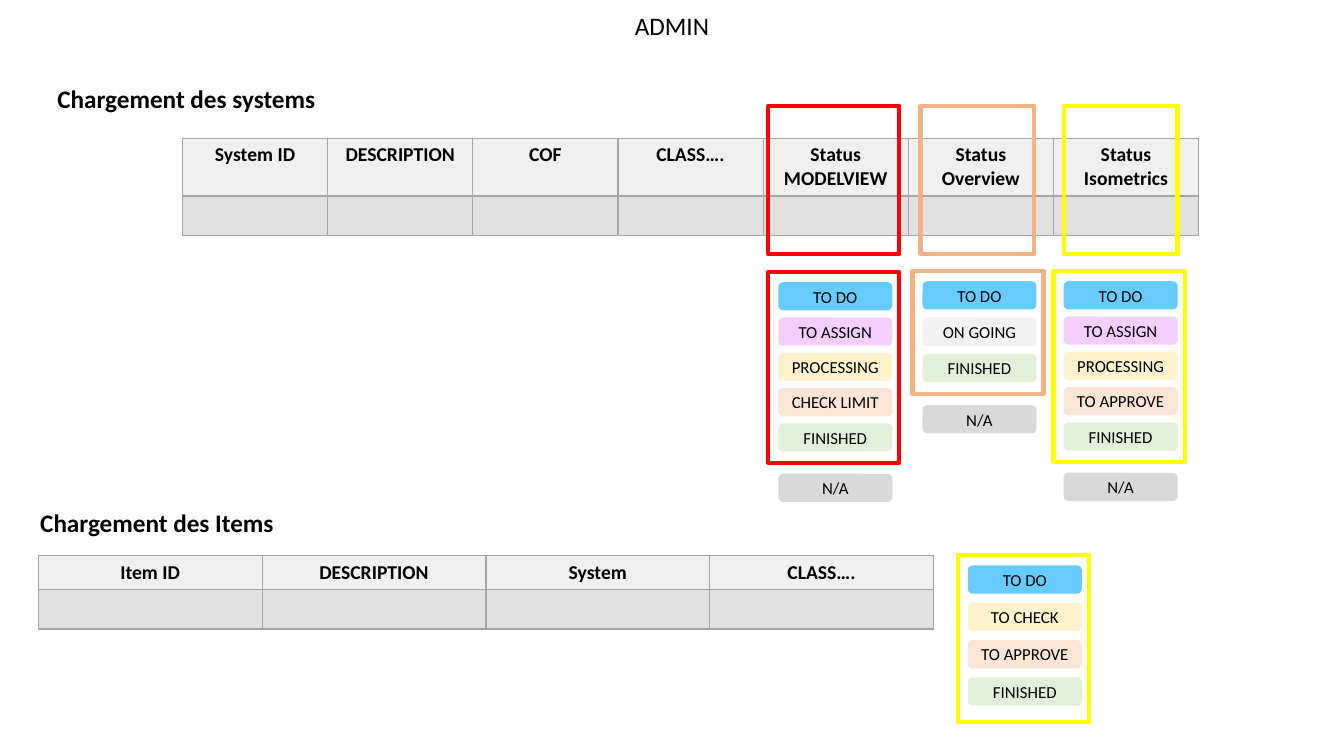
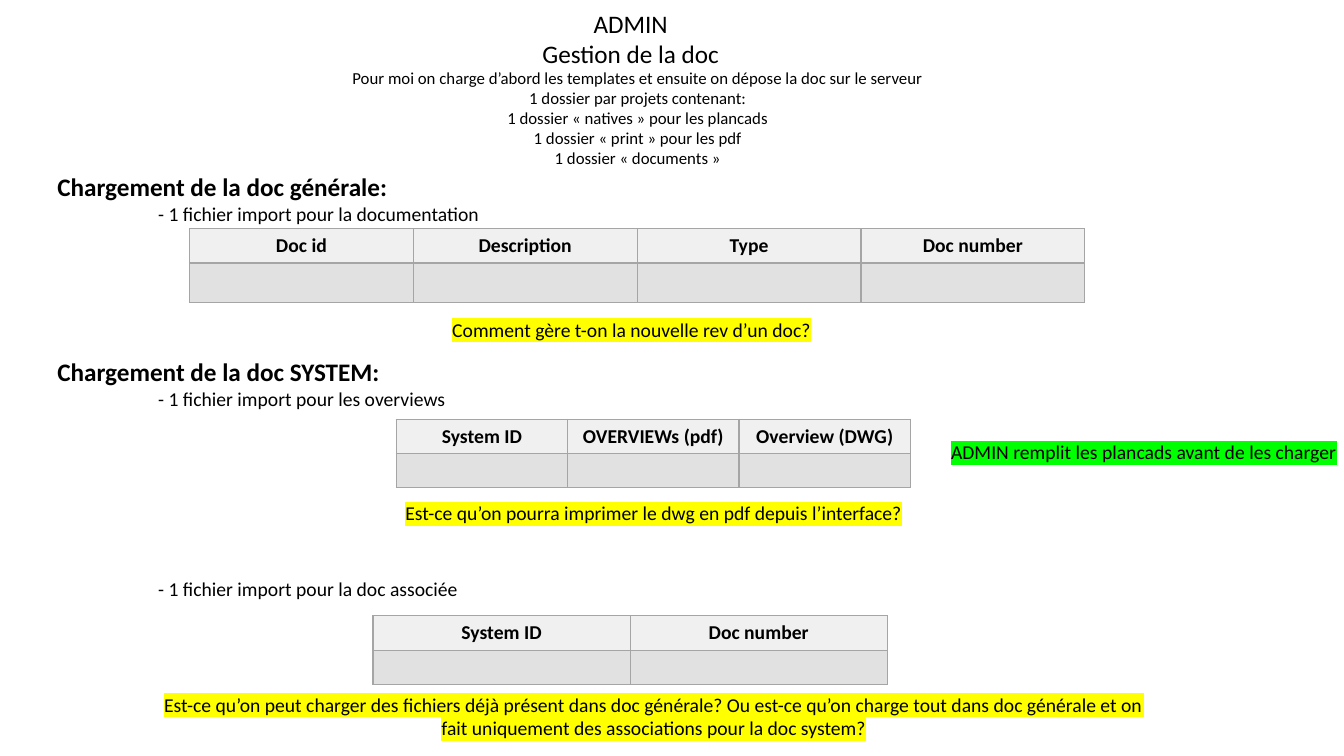
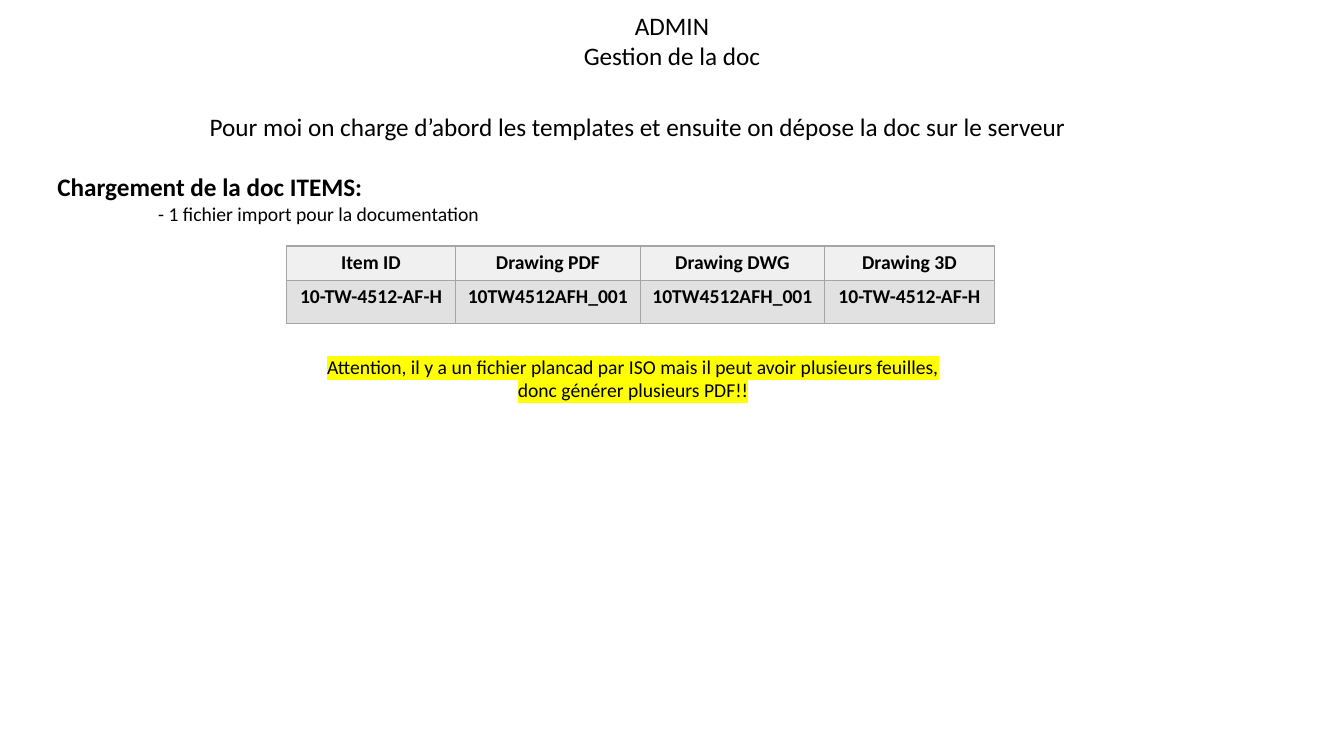
from dataclasses import dataclass
from typing import Optional, Sequence

from pptx import Presentation
from pptx.dml.color import RGBColor
from pptx.enum import shapes, text
from pptx.oxml.xmlchemy import OxmlElement
from pptx.util import Inches, Pt


# Theme shared by all slides
@dataclass(frozen=True)
class Theme:
    font: str = "Calibri"
    heading: int = 18
    body: int = 14
    small: int = 12
    frame_line: int = 3
    ink: str = "000000"
    header_fill: str = "F0F0F0"
    row_fill: str = "E1E1E1"
    border: str = "A5A5A5"
    yellow: str = "FFFF00"
    green: str = "00FF00"
    red: str = "FF0000"
    orange: str = "F4B183"


THEME = Theme()

STATUS_FILLS = {
    "TO DO": "66CCFF",
    "TO ASSIGN": "F4CEFF",
    "PROCESSING": "FFF2CC",
    "TO CHECK": "FFF2CC",
    "CHECK LIMIT": "FBE5D6",
    "TO APPROVE": "FBE5D6",
    "ON GOING": "F2F2F2",
    "FINISHED": "E2F0D9",
    "N/A": "D9D9D9",
}
CHIP_WIDTH, CHIP_HEIGHT = 1.13, 0.28
FRAME_WIDTH, FRAME_PADDING = 1.3, 0.1
NOT_APPLICABLE_GAP = 0.11


@dataclass(frozen=True)
class Box:
    left: float
    top: float
    width: float
    height: float

    def lengths(self) -> list:
        return [Inches(n) for n in (self.left, self.top, self.width, self.height)]


@dataclass(frozen=True)
class StatusList:
    frame: Box
    colour: str
    statuses: Sequence[str]
    pitch: float = 0.35
    column_frame: Optional[Box] = None


@dataclass(frozen=True)
class Grid:
    left: float
    top: float
    columns: Sequence[float]
    rows: Sequence[float]
    header: Sequence[str]
    values: Sequence[str] = ()


# Text
def write(para, words: str, *, size: int = THEME.body, bold: bool = False,
          align=text.PP_ALIGN.CENTER, highlight: Optional[str] = None,
          indent: float = 0) -> None:
    para.alignment = align
    if indent:
        properties = para._p.get_or_add_pPr()
        properties.set("marL", str(Inches(indent)))
        properties.set("indent", "0")
    span = para.add_run()
    span.text = words
    span.font.size = Pt(size)
    span.font.bold = bold
    span.font.color.rgb = RGBColor.from_string(THEME.ink)
    if highlight:
        mark = OxmlElement("a:highlight")
        colour = OxmlElement("a:srgbClr")
        colour.set("val", highlight)
        mark.append(colour)
        span.font._element.append(mark)
    span.font.name = THEME.font


def add_lines(frame, lines: Sequence[str], **style) -> None:
    frame.word_wrap = True
    frame.auto_size = text.MSO_AUTO_SIZE.NONE
    for number, line in enumerate(lines):
        para = frame.add_paragraph() if number else frame.paragraphs[0]
        write(para, line, **style)


def add_title(page, box: Box, *lines: str) -> None:
    title = page.shapes.title
    title.left, title.top, title.width, title.height = box.lengths()
    title.text_frame.vertical_anchor = text.MSO_ANCHOR.TOP
    add_lines(title.text_frame, lines, size=THEME.heading)


def add_text(page, box: Box, *lines: str, **style) -> None:
    add_lines(page.shapes.add_textbox(*box.lengths()).text_frame, lines, **style)


def add_section(page, left: float, top: float, heading: str, detail: str = "") -> None:
    frame = page.shapes.add_textbox(*Box(left, top, 10.21, 0.88).lengths()).text_frame
    add_lines(frame, [heading], size=THEME.heading, bold=True, align=text.PP_ALIGN.LEFT)
    if detail:
        write(frame.add_paragraph(), detail, align=text.PP_ALIGN.LEFT, indent=1)


# Tables
def format_cell(cell, words: str, fill: str) -> None:
    properties = cell._tc.get_or_add_tcPr()
    for side in ("a:lnL", "a:lnR", "a:lnT", "a:lnB"):
        line = OxmlElement(side)
        line.set("w", str(Pt(1)))
        solid = OxmlElement("a:solidFill")
        colour = OxmlElement("a:srgbClr")
        colour.set("val", THEME.border)
        solid.append(colour)
        line.append(solid)
        properties.append(line)
    cell.fill.solid()
    cell.fill.fore_color.rgb = RGBColor.from_string(fill)
    para = cell.text_frame.paragraphs[0]
    if words:
        write(para, words, bold=True)
    else:
        end = OxmlElement("a:endParaRPr")
        end.set("sz", str(THEME.body * 100))
        para._p.append(end)


def add_grid(page, grid: Grid) -> None:
    box = Box(grid.left, grid.top, sum(grid.columns), sum(grid.rows))
    table = page.shapes.add_table(
        len(grid.rows), len(grid.columns), *box.lengths()).table
    table.first_row = table.horz_banding = False
    for column, width in zip(table.columns, grid.columns):
        column.width = Inches(width)
    for row, height in zip(table.rows, grid.rows):
        row.height = Inches(height)
    values = grid.values or [""] * len(grid.columns)
    for number, (head, value) in enumerate(zip(grid.header, values)):
        format_cell(table.cell(0, number), head, THEME.header_fill)
        format_cell(table.cell(1, number), value, THEME.row_fill)


# Status chips and frames
def add_frame(page, box: Box, colour: str) -> None:
    frame = page.shapes.add_shape(shapes.MSO_SHAPE.RECTANGLE, *box.lengths())
    frame.shadow.inherit = False
    frame.fill.background()
    frame.line.color.rgb = RGBColor.from_string(colour)
    frame.line.width = Pt(THEME.frame_line)


def add_chip(page, left: float, top: float, status: str) -> None:
    box = Box(left, top, CHIP_WIDTH, CHIP_HEIGHT)
    chip = page.shapes.add_shape(shapes.MSO_SHAPE.ROUNDED_RECTANGLE, *box.lengths())
    chip.shadow.inherit = False
    chip.fill.solid()
    chip.fill.fore_color.rgb = RGBColor.from_string(STATUS_FILLS[status])
    chip.line.fill.background()
    chip.text_frame.vertical_anchor = text.MSO_ANCHOR.MIDDLE
    add_lines(chip.text_frame, [status], size=THEME.small)


def add_status_list(page, group: StatusList) -> None:
    frame = group.frame
    left = frame.left + FRAME_PADDING
    add_frame(page, frame, group.colour)
    for number, status in enumerate(group.statuses):
        add_chip(page, left, frame.top + FRAME_PADDING + number * group.pitch, status)
    if group.column_frame:
        add_frame(page, group.column_frame, group.colour)
        add_chip(page, left, frame.top + frame.height + NOT_APPLICABLE_GAP, "N/A")


# Slides
def build_loading(page) -> None:
    add_title(page, Box(4.74, 0.05, 3.85, 0.4), "ADMIN")
    add_section(page, 0.47, 0.78, "Chargement des systems")
    add_grid(page, Grid(1.81, 1.37, [1.44] * 7, [0.57, 0.39], [
        "System ID", "DESCRIPTION", "COF", "CLASS….",
        "Status MODELVIEW", "Status Overview", "Status Isometrics"]))
    add_section(page, 0.3, 4.98, "Chargement des Items")
    add_grid(page, Grid(0.38, 5.51, [2.22] * 4, [0.34, 0.39],
                        ["Item ID", "DESCRIPTION", "System", "CLASS…."]))
    status_lists = [
        StatusList(Box(7.62, 2.7, FRAME_WIDTH, 1.89), THEME.red,
                   ["TO DO", "TO ASSIGN", "PROCESSING", "CHECK LIMIT", "FINISHED"],
                   column_frame=Box(7.62, 1.05, FRAME_WIDTH, 1.47)),
        StatusList(Box(9.05, 2.69, FRAME_WIDTH, 1.22), THEME.orange,
                   ["TO DO", "ON GOING", "FINISHED"], pitch=0.36,
                   column_frame=Box(9.13, 1.05, CHIP_WIDTH, 1.47)),
        StatusList(Box(10.45, 2.69, FRAME_WIDTH, 1.89), THEME.yellow,
                   ["TO DO", "TO ASSIGN", "PROCESSING", "TO APPROVE", "FINISHED"],
                   column_frame=Box(10.55, 1.05, CHIP_WIDTH, 1.47)),
        StatusList(Box(9.5, 5.51, FRAME_WIDTH, 1.65), THEME.yellow,
                   ["TO DO", "TO CHECK", "TO APPROVE", "FINISHED"], pitch=0.37),
    ]
    for group in status_lists:
        add_status_list(page, group)


def build_documents(page) -> None:
    add_title(page, Box(4.33, 0.03, 3.85, 0.71), "ADMIN", "Gestion de la doc")
    add_text(page, Box(1.22, 0.62, 10.21, 1.31),
             "Pour moi on charge d’abord les templates et ensuite on dépose "
             "la doc sur le serveur",
             "1 dossier par projets contenant:",
             "1 dossier « natives » pour les plancads",
             "1 dossier « print » pour les pdf",
             "1 dossier « documents »", size=THEME.small)

    # General documents
    add_section(page, 0.47, 1.65, "Chargement de la doc générale:",
                "- 1 fichier import pour la documentation")
    add_grid(page, Grid(1.88, 2.27, [2.22] * 4, [0.34, 0.39],
                        ["Doc id", "Description", "Type", "Doc number"]))
    add_text(page, Box(1.16, 3.1, 10.21, 0.57),
             "Comment gère t-on la nouvelle rev d’un doc?", highlight=THEME.yellow)

    # System documents
    add_section(page, 0.47, 3.49, "Chargement de la doc SYSTEM:",
                "- 1 fichier import pour les overviews")
    add_grid(page, Grid(3.93, 4.16, [1.7] * 3, [0.34] * 2,
                        ["System ID", "OVERVIEWs (pdf)", "Overview (DWG)"]))
    add_text(page, Box(9.21, 4.32, 4.27, 0.57),
             "ADMIN remplit les plancads avant de les charger", highlight=THEME.green)
    add_text(page, Box(1.38, 4.92, 10.21, 0.57),
             "Est-ce qu’on pourra imprimer le dwg en pdf depuis l’interface?",
             highlight=THEME.yellow)

    # Associated documents
    add_text(page, Box(0.47, 5.67, 10.21, 0.57),
             "- 1 fichier import pour la doc associée",
             align=text.PP_ALIGN.LEFT, indent=1)
    add_grid(page, Grid(3.7, 6.11, [2.55] * 2, [0.34] * 2,
                        ["System ID", "Doc number"]))
    add_text(page, Box(1.38, 6.82, 10.21, 0.68),
             "Est-ce qu’on peut charger des fichiers déjà présent dans doc générale? "
             "Ou est-ce qu’on charge tout dans doc générale et on fait uniquement "
             "des associations pour la doc system?", highlight=THEME.yellow)


def build_items(page) -> None:
    add_title(page, Box(4.74, 0.05, 3.85, 0.71), "ADMIN", "Gestion de la doc")
    add_text(page, Box(1.22, 1.06, 10.21, 0.71),
             "Pour moi on charge d’abord les templates et ensuite on dépose "
             "la doc sur le serveur", size=THEME.heading)
    add_section(page, 0.47, 1.65, "Chargement de la doc ITEMS:",
                "- 1 fichier import pour la documentation")
    add_grid(page, Grid(2.84, 2.44, [1.68, 1.83, 1.83, 1.68], [0.34, 0.43],
                        ["Item ID", "Drawing PDF", "Drawing DWG", "Drawing 3D"],
                        ["10-TW-4512-AF-H", "10TW4512AFH_001",
                         "10TW4512AFH_001", "10-TW-4512-AF-H"]))
    add_text(page, Box(3.13, 3.47, 6.3, 0.81),
             "Attention, il y a un fichier plancad par ISO mais il peut avoir "
             "plusieurs feuilles, donc générer plusieurs PDF!!",
             highlight=THEME.yellow)


def main() -> None:
    deck = Presentation()
    deck.slide_width, deck.slide_height = Inches(13.33), Inches(7.5)
    title_only = deck.slide_layouts[5]
    for build in (build_loading, build_documents, build_items):
        build(deck.slides.add_slide(title_only))
    deck.save("out.pptx")


if __name__ == "__main__":
    main()
